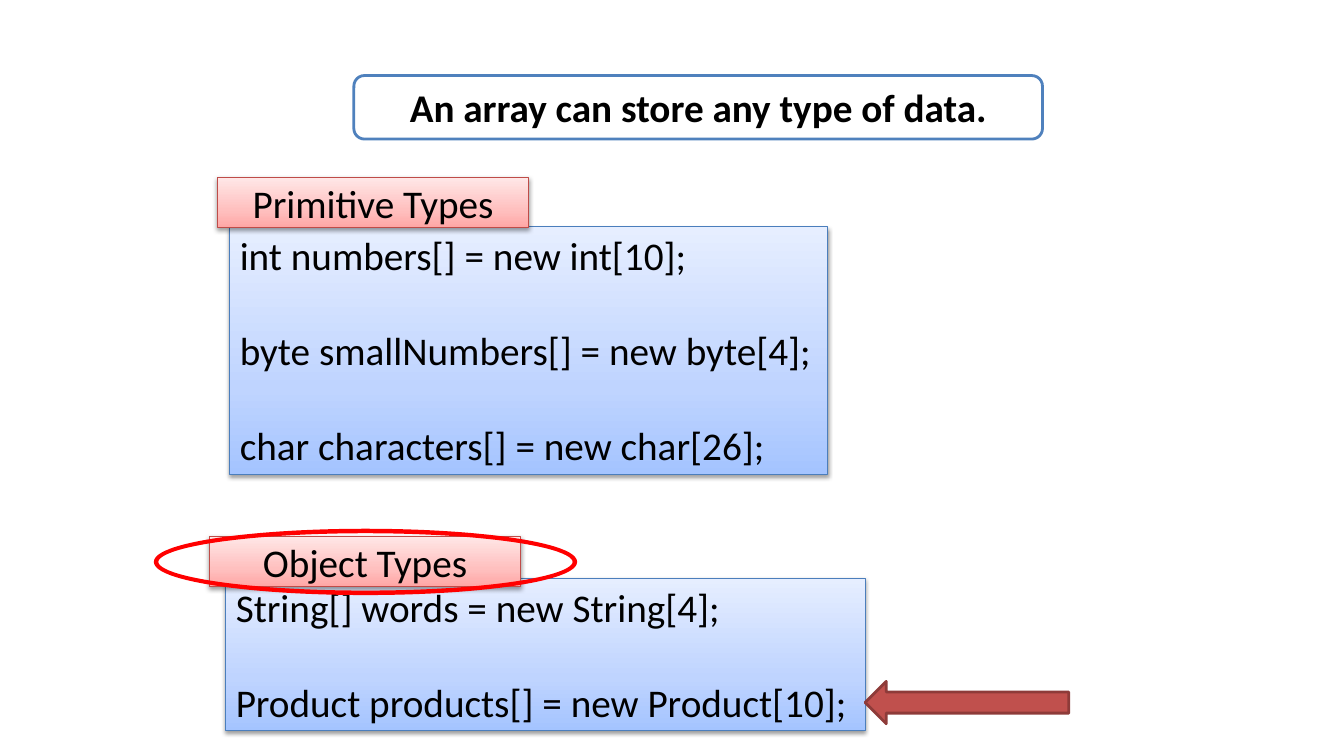
import dataclasses

import pptx
import pptx.dml.color
import pptx.enum.shapes
import pptx.enum.text
import pptx.oxml
import pptx.oxml.ns
import pptx.util
from pptx.util import Inches

SHAPES = pptx.enum.shapes.MSO_SHAPE
ALIGN = pptx.enum.text.PP_ALIGN
ANCHOR = pptx.enum.text.MSO_ANCHOR
AUTO_SIZE = pptx.enum.text.MSO_AUTO_SIZE


@dataclasses.dataclass(frozen=True)
class Theme:
    font: str = "Calibri"
    size: float = 28
    line_gap: float = 34.2
    thin: float = 0.75
    thick: float = 2
    text: str = "000000"
    white: str = "FFFFFF"
    title_line: str = "4F81BD"
    code_line: str = "4B7EBC"
    code_stops: tuple = ("A4C4FF", "BFD4FF", "E6EEFF")
    label_line: str = "BF4C48"
    label_stops: tuple = ("FFA6A5", "FFC0BF", "FFE7E7")
    ring: str = "FF0000"
    arrow: str = "C0504D"
    arrow_line: str = "8E3B39"


THEME = Theme()


def rgb(value):
    return pptx.dml.color.RGBColor.from_string(value)


def parse_drawing(tag, attributes, content):
    namespace = pptx.oxml.ns.nsdecls("a")
    return pptx.oxml.parse_xml(f"<a:{tag} {namespace} {attributes}>{content}</a:{tag}>")


def add_outlined(page, kind, place, line, width):
    shape = page.shapes.add_shape(kind, *map(Inches, place))
    shape.shadow.inherit = False
    shape.line.color.rgb = rgb(line)
    shape.line.width = pptx.util.Pt(width)
    return shape


def add_solid(page, kind, place, fill, line):
    shape = add_outlined(page, kind, place, line, THEME.thick)
    shape.fill.solid()
    shape.fill.fore_color.rgb = rgb(fill)
    return shape


def add_raised(page, place, stops, line):
    shape = add_outlined(page, SHAPES.RECTANGLE, place, line, THEME.thin)
    shape.fill.gradient()
    shape.fill.gradient_angle = 90
    properties = shape.element.spPr
    stop_list = properties.find(".//" + pptx.oxml.ns.qn("a:gsLst"))
    stop_list.clear()
    for position, colour in zip((0, 35, 100), stops):
        stop_list.append(parse_drawing(
            "gs", f'pos="{position * 1000}"', f'<a:srgbClr val="{colour}"/>'))
    effects = properties.find(pptx.oxml.ns.qn("a:effectLst"))
    effects.append(parse_drawing(
        "outerShdw",
        'blurRad="40000" dist="20000" dir="5400000" rotWithShape="0"',
        '<a:srgbClr val="000000"><a:alpha val="38000"/></a:srgbClr>'))
    return shape


def write(shape, lines, align=ALIGN.CENTER, bold=False):
    frame = shape.text_frame
    frame.text = "\n".join(lines)
    for index, para in enumerate(frame.paragraphs):
        para.alignment = align
        if index:
            para.space_before = pptx.util.Pt(THEME.line_gap)
        for span in para.runs:
            span.font.name = THEME.font
            span.font.size = pptx.util.Pt(THEME.size)
            span.font.bold = bold
            span.font.color.rgb = rgb(THEME.text)


def add_title(page, place, text):
    box = add_solid(page, SHAPES.ROUNDED_RECTANGLE, place, THEME.white, THEME.title_line)
    write(box, [text], bold=True)
    box.text_frame.auto_size = AUTO_SIZE.SHAPE_TO_FIT_TEXT


def add_code(page, place, lines):
    box = add_raised(page, place, THEME.code_stops, THEME.code_line)
    write(box, lines, ALIGN.LEFT)
    box.text_frame.vertical_anchor = ANCHOR.TOP
    box.text_frame.word_wrap = False
    box.text_frame.auto_size = AUTO_SIZE.SHAPE_TO_FIT_TEXT


def add_label(page, left, top, text):
    box = add_raised(page, (left, top, 3.08, 0.5), THEME.label_stops, THEME.label_line)
    write(box, [text])
    box.text_frame.vertical_anchor = ANCHOR.MIDDLE


def main():
    deck = pptx.Presentation()
    deck.slide_width, deck.slide_height = Inches(13.33), Inches(7.5)
    page = deck.slides.add_slide(deck.slide_layouts[6])

    add_title(page, (3.51, 0.75, 6.83, 0.63), "An array can store any type of data.")
    add_code(page, (2.24, 5.74, 6.34, 1.51), [
        "String[] words = new String[4];",
        "Product products[] = new Product[10];",
    ])
    add_code(page, (2.28, 2.25, 5.93, 2.46), [
        "int numbers[] = new int[10];",
        "byte smallNumbers[] = new byte[4];",
        "char characters[] = new char[26];",
    ])
    add_label(page, 2.16, 1.76, "Primitive Types")
    add_label(page, 2.08, 5.32, "Object Types")
    ring = add_solid(page, SHAPES.DONUT, (1.54, 5.26, 4.17, 0.63), THEME.ring, THEME.ring)
    ring.adjustments[0] = 0.026
    add_solid(page, SHAPES.LEFT_ARROW, (8.58, 6.76, 2.02, 0.42), THEME.arrow, THEME.arrow_line)

    deck.save("out.pptx")


if __name__ == "__main__":
    main()
